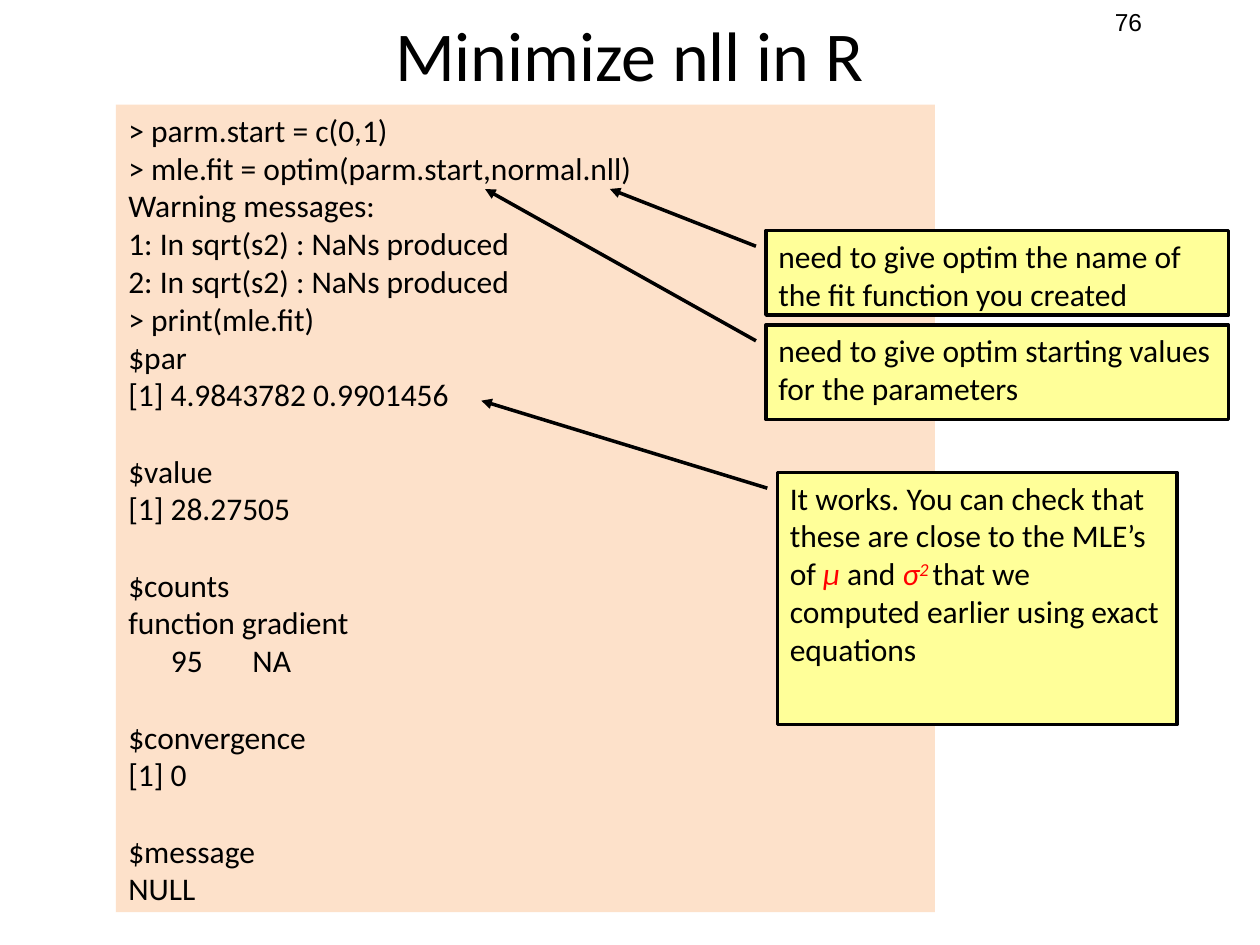
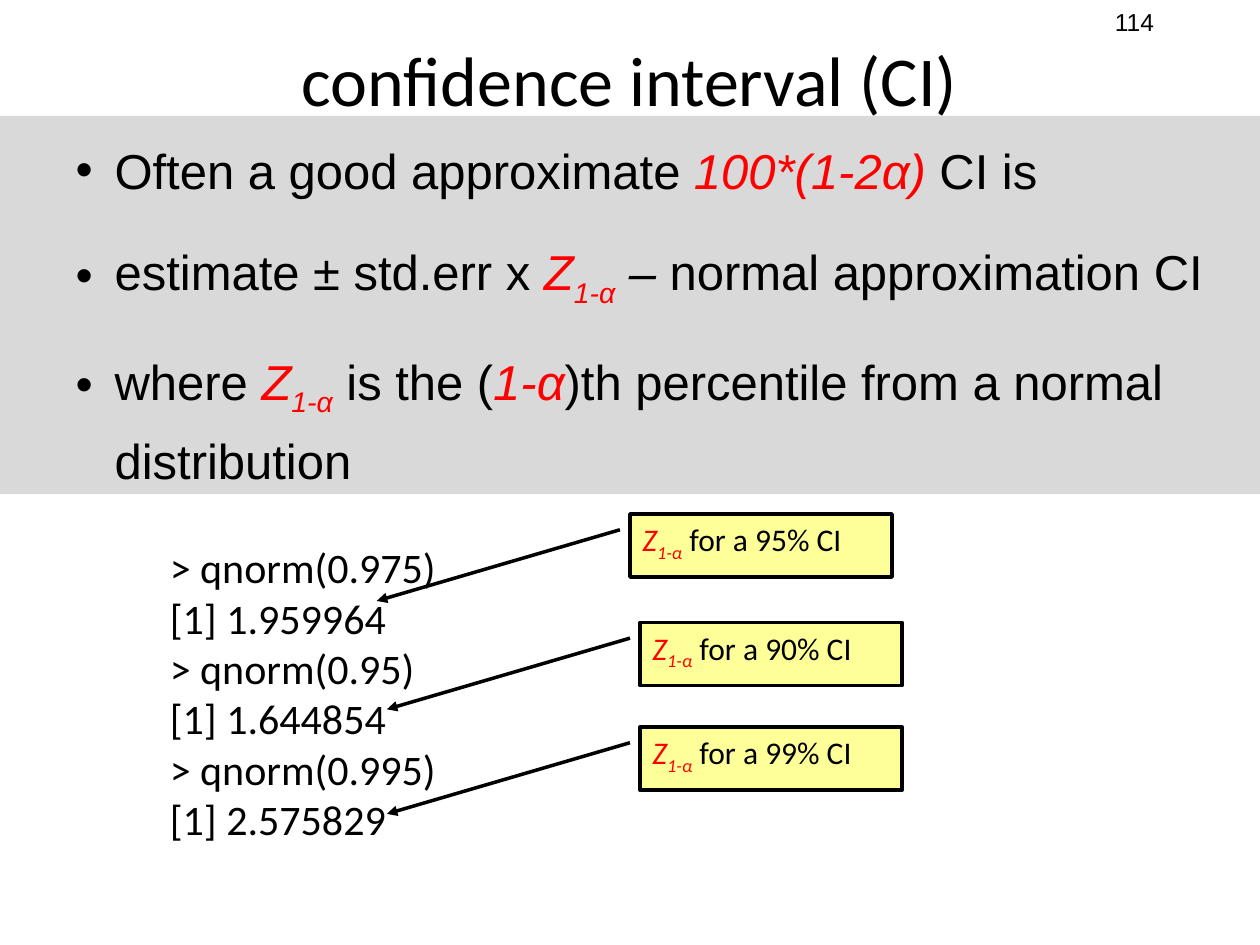
from dataclasses import dataclass
from typing import NamedTuple

from lxml.etree import SubElement
from pptx import Presentation
from pptx.dml.color import RGBColor
from pptx.enum.shapes import MSO_SHAPE
from pptx.enum.text import MSO_ANCHOR, MSO_AUTO_SIZE, PP_ALIGN
from pptx.oxml.ns import qn
from pptx.util import Inches, Pt


@dataclass(frozen=True)
class Theme:
    ink: RGBColor = RGBColor(0x00, 0x00, 0x00)
    accent: RGBColor = RGBColor(0xFF, 0x00, 0x00)
    code_fill: RGBColor = RGBColor(0xFD, 0xE1, 0xCA)
    list_fill: RGBColor = RGBColor(0xD9, 0xD9, 0xD9)
    callout_fill: RGBColor = RGBColor(0xFF, 0xFF, 0x99)
    heading_font: str = "Calibri"
    list_font: str = "Arial"
    title_size: int = 40
    list_size: int = 28
    console_size: int = 24
    text_size: int = 18
    number_size: int = 14


THEME = Theme()


class Run(NamedTuple):
    text: str
    accent: bool = False
    italic: bool = False
    baseline: int = 0  # percent


class Box(NamedTuple):
    """Left, top, width and height in inches."""
    left: float
    top: float
    width: float
    height: float

    def lengths(self) -> list:
        return [Inches(value) for value in self]


@dataclass(frozen=True)
class Callout:
    box: Box
    target: tuple[float, float]
    runs: list[Run]


def symbol(text: str, baseline: int = 0) -> Run:
    return Run(text, accent=True, italic=True, baseline=baseline)


Z_QUANTILE = [symbol("Z"), symbol("1-α", -25)]

OPTIM_SESSION = """> parm.start = c(0,1)
> mle.fit = optim(parm.start,normal.nll)
Warning messages:
1: In sqrt(s2) : NaNs produced
2: In sqrt(s2) : NaNs produced
> print(mle.fit)
$par
[1] 4.9843782 0.9901456

$value
[1] 28.27505

$counts
function gradient
      95       NA

$convergence
[1] 0

$message
NULL"""

QNORM_SESSION = """> qnorm(0.975)
[1] 1.959964
> qnorm(0.95)
[1] 1.644854
> qnorm(0.995)
[1] 2.575829"""

OPTIM_CALLOUTS = [
    Callout(Box(6.17, 3.75, 3.17, 2), (3.82, 3.18), [
        Run("It works. You can check that these are close to the MLE’s of "),
        symbol("μ"), Run(" and "), symbol("σ"), symbol("2 ", 30),
        Run("that we computed earlier using exact equations"),
    ]),
    Callout(Box(6.08, 2.58, 3.67, 0.75), (3.85, 1.5),
            [Run("need to give optim starting values for the parameters")]),
    Callout(Box(6.08, 1.83, 3.67, 0.67), (4.84, 1.5),
            [Run("need to give optim the name of the fit function you created")]),
]

QUANTILE_CALLOUTS = [
    Callout(Box(left, top, 2.08, 0.5), (left - 2.01, top + 0.69),
            [*Z_QUANTILE, Run(f" for a {level}% CI")])
    for left, top, level in [(5, 4.08, 95), (5.08, 4.94, 90), (5.08, 5.77, 99)]
]

CI_POINTS = [
    [Run("Often a good approximate "), symbol("100*(1-2α)"), Run(" CI is")],
    [Run("estimate ± std.err x "), *Z_QUANTILE, Run(" – ", italic=True),
     Run("normal approximation CI")],
    [Run("where "), *Z_QUANTILE, Run(" is the ("), symbol("1-α"),
     Run(")th percentile from a normal distribution")],
]


def add_bullet(paragraph) -> None:
    properties = paragraph._p.get_or_add_pPr()
    properties.set("marL", str(Inches(0.81)))
    properties.set("indent", str(-Inches(0.31)))
    SubElement(properties, qn("a:buFont")).set("typeface", THEME.list_font)
    SubElement(properties, qn("a:buChar")).set("char", "•")


def write(frame, paragraphs: list[list[Run]], *, size: int = THEME.text_size,
          font: str = THEME.heading_font, align=PP_ALIGN.LEFT, anchor=MSO_ANCHOR.TOP,
          bullets: bool = False, line_spacing: float = 1.0, gap: float = 0) -> None:
    """Fill a text frame; an empty run list leaves one line's space before the next."""
    frame.word_wrap = True
    frame.auto_size = MSO_AUTO_SIZE.NONE
    frame.vertical_anchor = anchor
    space = 0
    for index, runs in enumerate(paragraphs):
        if not runs:
            space = 1.22 * size
            continue
        paragraph = frame.add_paragraph() if index else frame.paragraphs[0]
        if bullets:
            paragraph.level = 1
            add_bullet(paragraph)
        paragraph.alignment = align
        paragraph.line_spacing = line_spacing
        paragraph.space_before = Pt(space)
        paragraph.space_after = Pt(0)
        space = gap
        for part in runs:
            run = paragraph.add_run()
            run.text = part.text
            run.font.name = font
            run.font.size = Pt(size)
            run.font.italic = part.italic
            run.font.color.rgb = THEME.accent if part.accent else THEME.ink
            if part.baseline:
                run._r.get_or_add_rPr().set("baseline", str(part.baseline * 1000))


def place(shape, box: Box) -> None:
    shape.left, shape.top, shape.width, shape.height = box.lengths()


def fill_solid(shape, color: RGBColor) -> None:
    shape.fill.solid()
    shape.fill.fore_color.rgb = color


def session_lines(session: str) -> list[list[Run]]:
    return [[Run(line)] if line else [] for line in session.splitlines()]


def add_page(deck, layout: int, title: str, title_top: float, number: int):
    slide = deck.slides.add_slide(deck.slide_layouts[layout])
    heading = slide.shapes.title
    place(heading, Box(0.5, title_top, 8.99, 0.91))
    write(heading.text_frame, [[Run(title)]], size=THEME.title_size,
          align=PP_ALIGN.CENTER, anchor=MSO_ANCHOR.MIDDLE)
    page_number = slide.shapes.add_textbox(*Box(8.75, 0.01, 1, 0.34).lengths())
    write(page_number.text_frame, [[Run(str(number))]],
          size=THEME.number_size, font=THEME.list_font)
    return slide


def add_callout(slide, callout: Callout) -> None:
    box = callout.box
    note = slide.shapes.add_shape(MSO_SHAPE.LINE_CALLOUT_1, *box.lengths())
    note.shadow.inherit = False
    fill_solid(note, THEME.callout_fill)
    note.line.color.rgb = THEME.ink
    note.line.width = Pt(2)
    tail = SubElement(note.line._get_or_add_ln(), qn("a:tailEnd"))
    tail.set("type", "triangle")
    target_x, target_y = callout.target
    pointer = [0.125 / box.height, -0.08 / box.width,
               (target_y - box.top) / box.height, (target_x - box.left) / box.width]
    for index, value in enumerate(pointer):
        note.adjustments[index] = value
    write(note.text_frame, [callout.runs])


def build_optim_slide(deck) -> None:
    slide = add_page(deck, 5, "Minimize nll in R", -0.03, 76)
    console = slide.shapes.add_shape(MSO_SHAPE.RECTANGLE, *Box(0.92, 0.83, 6.5, 6.41).lengths())
    console.shadow.inherit = False
    fill_solid(console, THEME.code_fill)
    console.line.fill.background()
    write(console.text_frame, session_lines(OPTIM_SESSION))
    for callout in OPTIM_CALLOUTS:
        add_callout(slide, callout)


def build_interval_slide(deck) -> None:
    slide = add_page(deck, 1, "confidence interval (CI)", 0.17, 114)
    points = slide.placeholders[1]
    place(points, Box(0, 0.92, 10, 3))
    fill_solid(points, THEME.list_fill)
    points.text_frame.margin_top = Inches(0.1)
    write(points.text_frame, CI_POINTS, size=THEME.list_size, font=THEME.list_font,
          bullets=True, line_spacing=1.2, gap=0.6 * THEME.list_size)
    console = slide.shapes.add_textbox(*Box(1.25, 4.25, 5, 2.86).lengths())
    write(console.text_frame, session_lines(QNORM_SESSION), size=THEME.console_size)
    for callout in QUANTILE_CALLOUTS:
        add_callout(slide, callout)


def main() -> None:
    deck = Presentation()
    deck.slide_width, deck.slide_height = Inches(10), Inches(7.5)
    build_optim_slide(deck)
    build_interval_slide(deck)
    deck.save("out.pptx")


if __name__ == "__main__":
    main()
